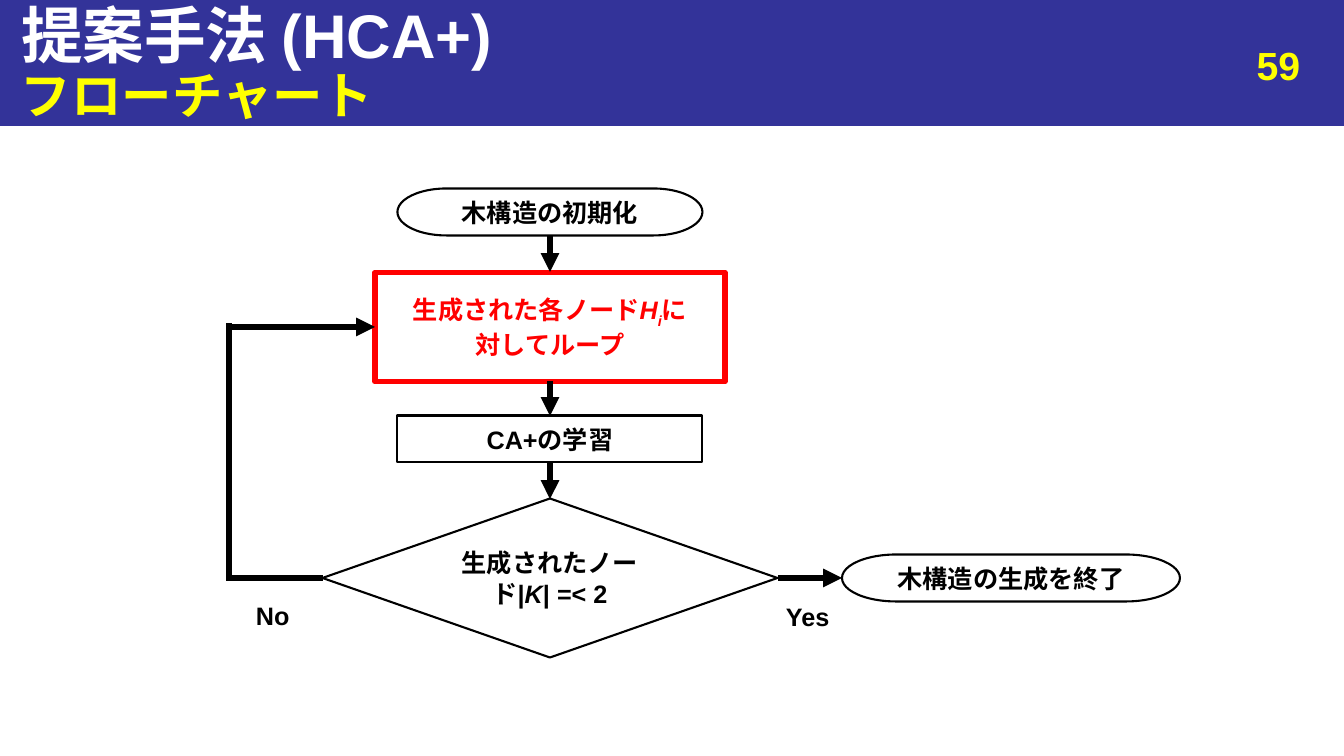
from pptx import Presentation
from pptx.dml.color import RGBColor
from pptx.enum.shapes import MSO_CONNECTOR, MSO_SHAPE as SHAPE
from pptx.enum.text import MSO_ANCHOR as ANCHOR, MSO_AUTO_SIZE, PP_ALIGN as ALIGN
from pptx.oxml.ns import qn
from pptx.util import Pt
from lxml import etree

WHITE = RGBColor(0xFF, 0xFF, 0xFF)
BLACK = RGBColor(0, 0, 0)
RED = RGBColor(0xFF, 0, 0)
YELLOW = RGBColor(0xFF, 0xFF, 0)
NAVY = RGBColor(0x33, 0x33, 0x99)


def px(*lengths):
    return [round(length * 12192000 / 1344) for length in lengths]


def write(shape, pieces, size, color, align, anchor):
    frame = shape.text_frame
    frame.auto_size = MSO_AUTO_SIZE.NONE
    frame.word_wrap = True
    frame.vertical_anchor = anchor
    paragraph = frame.paragraphs[0]
    paragraph.alignment = align
    font = paragraph.font
    font.name, font.size, font.bold = "Arial", Pt(size), True
    font.color.rgb = color
    for piece, style in pieces:
        for index, line in enumerate(piece.split("\n")):
            if index:
                paragraph.add_line_break()
            run = paragraph.add_run()
            run.text = line
            if style:
                run.font.italic = True
            if style == "sub":
                run.font._element.set("baseline", "-25000")


deck = Presentation()
deck.slide_width, deck.slide_height = px(1344, 756)
slide = deck.slides.add_slide(deck.slide_layouts[5])
shapes = slide.shapes

banner = shapes.add_shape(SHAPE.RECTANGLE, *px(0, 0, 1344, 126))
banner.shadow.inherit = False
banner.fill.solid()
banner.fill.fore_color.rgb = NAVY
banner.line.color.rgb = NAVY
banner.line.width = Pt(0.75)

title = shapes.title
title.left, title.top, title.width, title.height = px(11, 0, 1333, 68)
write(title, [("提案手法 (HCA+)", "")], 44, WHITE, ALIGN.LEFT, ANCHOR.MIDDLE)
banner._element.addnext(title._element)

labels = [
    ("59", 997, 36, 313, 52, 28, YELLOW, ALIGN.RIGHT, ANCHOR.TOP),
    ("フローチャート", 11, 63, 1333, 63, 36, YELLOW, ALIGN.LEFT, ANCHOR.MIDDLE),
    ("Yes", 776, 596, 71, 40, 18, BLACK, ALIGN.LEFT, ANCHOR.TOP),
    ("No", 246, 595, 76, 40, 18, BLACK, ALIGN.LEFT, ANCHOR.TOP),
]
for words, x, y, w, h, size, color, align, anchor in labels:
    label = shapes.add_textbox(*px(x, y, w, h))
    write(label, [(words, "")], size, color, align, anchor)

AXIS, TEST_Y, LOOP_Y, RETURN_X = 550, 578, 327, 229
steps = [
    (SHAPE.FLOWCHART_TERMINATOR, AXIS, 212, 305, 47, BLACK, 1.5,
     [("木構造の初期化", "")]),
    (SHAPE.FLOWCHART_PROCESS, AXIS, LOOP_Y, 350, 109, RED, 4,
     [("生成された各ノード", ""), ("H", "italic"), ("i", "sub"), ("に\n対してループ", "")]),
    (SHAPE.RECTANGLE, AXIS, 439, 305, 47, BLACK, 1.5,
     [("CA+の学習", "")]),
    (SHAPE.FLOWCHART_DECISION, AXIS, TEST_Y, 455, 159, BLACK, 1.5,
     [("生成されたノード|", ""), ("K", "italic"), ("| =< 2", "")]),
    (SHAPE.FLOWCHART_TERMINATOR, 1011, TEST_Y, 338, 47, BLACK, 1.5,
     [("木構造の生成を終了", "")]),
]
for kind, x, y, w, h, color, weight, pieces in steps:
    step = shapes.add_shape(kind, *px(x - w / 2, y - h / 2, w, h))
    step.shadow.inherit = False
    step.fill.solid()
    step.fill.fore_color.rgb = WHITE
    step.line.color.rgb = color
    step.line.width = Pt(weight)
    write(step, pieces, 18, color, ALIGN.CENTER, ANCHOR.MIDDLE)

flows = [
    (AXIS, 236, AXIS, 272, True),
    (AXIS, 381, AXIS, 416, True),
    (AXIS, 463, AXIS, 499, True),
    (778, TEST_Y, 842, TEST_Y, True),
    (323, TEST_Y, RETURN_X, TEST_Y, False),
    (RETURN_X, TEST_Y + 3, RETURN_X, LOOP_Y - 4, False),
    (RETURN_X, LOOP_Y, 375, LOOP_Y, True),
]
for x1, y1, x2, y2, arrow in flows:
    flow = shapes.add_connector(MSO_CONNECTOR.STRAIGHT, *px(x1, y1, x2, y2))
    flow.line.color.rgb = BLACK
    flow.line.width = Pt(4.5)
    if arrow:
        etree.SubElement(flow.line._get_or_add_ln(), qn("a:tailEnd"), type="triangle")
    etree.SubElement(flow._element.spPr, qn("a:effectLst"))

deck.save("out.pptx")
